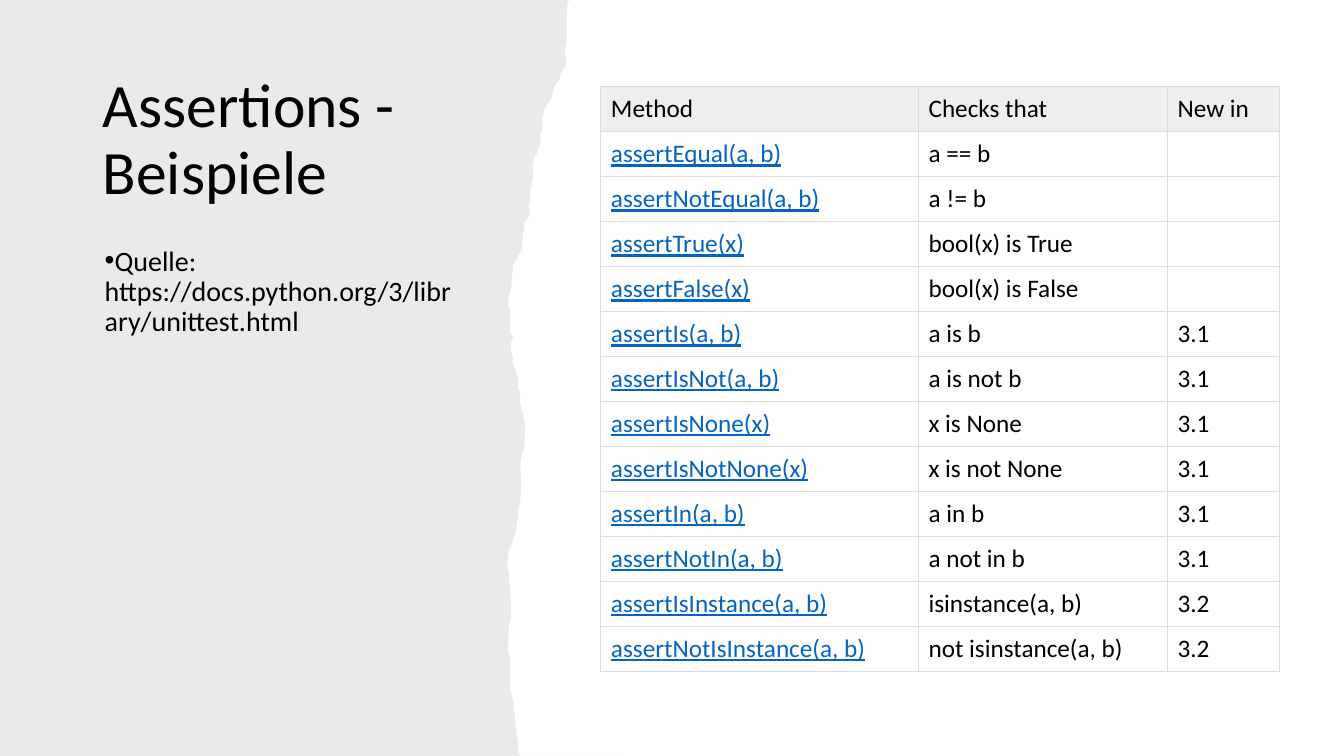
from dataclasses import dataclass

from lxml import etree
from pptx import Presentation
from pptx.dml.color import RGBColor
from pptx.enum.text import MSO_ANCHOR, MSO_AUTO_SIZE, PP_ALIGN
from pptx.oxml.ns import qn
from pptx.util import Inches, Pt

MIDDLE, TOP = MSO_ANCHOR.MIDDLE, MSO_ANCHOR.TOP
LEFT = PP_ALIGN.LEFT
NO_AUTOFIT = MSO_AUTO_SIZE.NONE
TITLE_ONLY = 5


@dataclass(frozen=True)
class Theme:
    font: str = "Calibri"
    text: str = "000000"
    link: str = "0563C1"
    white: str = "FFFFFF"
    header: str = "EEEEEE"
    border: str = "DDDDDD"
    panel: str = "82766A"
    panel_opacity: int = 15
    title_size: int = 44
    source_size: int = 20
    table_size: int = 18
    border_width: float = 0.75


THEME = Theme()
SLIDE_BOX = (0, 0, 13.33, 7.5)
PANEL_BOX = (0, 0, 6.18, 7.5)
TITLE_BOX = (0.92, 0.67, 4.09, 1.46)
SOURCE_BOX = (0.94, 2.4, 3.75, 4.27)
TABLE_BOX = (5.96, 0.86, 6.73, 5.8)

# Torn paper edge from top to bottom, relative to the panel
TORN_EDGE = [
    (5.65, 0), (5.63, 0.02), (5.62, 0.14), (5.62, 0.2), (5.62, 0.39), (5.6, 0.52),
    (5.62, 0.58), (5.61, 0.64), (5.6, 0.66), (5.55, 0.75), (5.55, 0.79), (5.52, 0.82),
    (5.49, 0.89), (5.47, 0.97), (5.41, 1.07), (5.38, 1.16), (5.38, 1.27), (5.36, 1.32),
    (5.36, 1.42), (5.33, 1.49), (5.32, 1.54), (5.3, 1.56), (5.28, 1.66), (5.29, 1.73),
    (5.28, 1.8), (5.26, 1.88), (5.26, 1.95), (5.26, 2), (5.24, 2.04), (5.26, 2.08),
    (5.25, 2.14), (5.2, 2.21), (5.19, 2.31), (5.18, 2.4), (5.18, 2.47), (5.13, 2.55),
    (5.09, 2.63), (5.08, 2.73), (5.07, 2.84), (5.05, 2.92), (5.04, 2.97), (5.04, 3.02),
    (5.06, 3.09), (5.06, 3.26), (5.06, 3.3), (5.09, 3.35), (5.07, 3.39), (5.07, 3.48),
    (5.09, 3.56), (5.08, 3.59), (5.1, 3.64), (5.13, 3.73), (5.14, 3.8), (5.14, 3.86),
    (5.16, 3.89), (5.16, 4), (5.17, 4.05), (5.19, 4.13), (5.21, 4.24), (5.2, 4.43),
    (5.17, 4.54), (5.16, 4.61), (5.17, 4.82), (5.16, 4.96), (5.14, 5.06), (5.13, 5.18),
    (5.11, 5.3), (5.09, 5.33), (5.08, 5.39), (5.04, 5.48), (5.03, 5.59), (5.05, 5.7),
    (5.05, 5.76), (5.07, 5.98), (5.07, 6.12), (5.05, 6.2), (5.04, 6.31), (5.04, 6.46),
    (5.06, 6.53), (5.06, 6.66), (5.06, 6.81), (5.09, 6.97), (5.11, 7.15), (5.12, 7.26),
    (5.13, 7.33), (5.14, 7.39), (5.14, 7.48), (5.16, 7.5),
]

TITLE = "Assertions - Beispiele"
SOURCE = "Quelle: https://docs.python.org/3/library/unittest.html"
COLUMN_WIDTHS = (3.15, 2.47, 1.11)
ASSERTIONS = [
    ("Method", "Checks that", "New in"),
    ("assertEqual(a, b)", "a == b", ""),
    ("assertNotEqual(a, b)", "a != b", ""),
    ("assertTrue(x)", "bool(x) is True", ""),
    ("assertFalse(x)", "bool(x) is False", ""),
    ("assertIs(a, b)", "a is b", "3.1"),
    ("assertIsNot(a, b)", "a is not b", "3.1"),
    ("assertIsNone(x)", "x is None", "3.1"),
    ("assertIsNotNone(x)", "x is not None", "3.1"),
    ("assertIn(a, b)", "a in b", "3.1"),
    ("assertNotIn(a, b)", "a not in b", "3.1"),
    ("assertIsInstance(a, b)", "isinstance(a, b)", "3.2"),
    ("assertNotIsInstance(a, b)", "not isinstance(a, b)", "3.2"),
]


def rgb(value):
    return RGBColor.from_string(value)


def inches(box):
    return [Inches(length) for length in box]


def format_paragraph(paragraph, size, color=THEME.text, underline=False):
    paragraph.alignment = LEFT
    for run in paragraph.runs:
        run.font.name = THEME.font
        run.font.size = Pt(size)
        run.font.color.rgb = rgb(color)
        run.font.underline = underline


def fill_frame(frame, text, size, anchor):
    frame.word_wrap = True
    frame.auto_size = NO_AUTOFIT
    frame.vertical_anchor = anchor
    frame.text = text
    paragraph = frame.paragraphs[0]
    paragraph.line_spacing = 0.9
    format_paragraph(paragraph, size)
    return paragraph


def add_torn_panel(slide, box):
    left, top, width, height = box
    outline = [(0, 0), *TORN_EDGE, (width, height), (0, height)]
    points = [(Inches(left + x), Inches(top + y)) for x, y in outline]
    builder = slide.shapes.build_freeform(*points[0])
    builder.add_line_segments(points[1:], close=True)
    panel = builder.convert_to_shape()
    panel.shadow.inherit = False
    panel.line.fill.background()
    panel.fill.solid()
    panel.fill.fore_color.rgb = rgb(THEME.panel)
    color = panel.fill._xPr.find(qn("a:solidFill"))[0]
    etree.SubElement(color, qn("a:alpha"), val=str(THEME.panel_opacity * 1000))
    # The panel lies behind the title
    slide.shapes.title._element.addprevious(panel._element)


def add_title(slide, box):
    title = slide.shapes.title
    title.left, title.top, title.width, title.height = inches(box)
    fill_frame(title.text_frame, TITLE, THEME.title_size, MIDDLE)


def add_source(slide, box):
    frame = slide.shapes.add_textbox(*inches(box)).text_frame
    paragraph = fill_frame(frame, SOURCE, THEME.source_size, TOP)
    paragraph.space_after = Pt(6)
    properties = paragraph._p.get_or_add_pPr()
    properties.set("marL", "0")
    properties.set("indent", str(-Inches(0.25)))
    etree.SubElement(properties, qn("a:buFont"), typeface="Arial")
    etree.SubElement(properties, qn("a:buChar"), char="•")


def add_cell_borders(cell):
    properties = cell._tc.get_or_add_tcPr()
    for side in ("a:lnL", "a:lnR", "a:lnT", "a:lnB"):
        line = etree.SubElement(properties, qn(side), w=str(Pt(THEME.border_width)))
        solid = etree.SubElement(line, qn("a:solidFill"))
        etree.SubElement(solid, qn("a:srgbClr"), val=THEME.border)


def add_assertion_table(slide, box):
    table = slide.shapes.add_table(len(ASSERTIONS), len(COLUMN_WIDTHS), *inches(box)).table
    table.first_row = table.horz_banding = False
    for column, width in zip(table.columns, COLUMN_WIDTHS):
        column.width = Inches(width)
    for row_index, entries in enumerate(ASSERTIONS):
        is_header = row_index == 0
        for column_index, entry in enumerate(entries):
            cell = table.cell(row_index, column_index)
            add_cell_borders(cell)
            cell.fill.solid()
            cell.fill.fore_color.rgb = rgb(THEME.header if is_header else THEME.white)
            cell.vertical_anchor = MIDDLE
            is_method = column_index == 0 and not is_header
            # Expressions stay on one line
            cell.text_frame.text = entry if is_header else entry.replace(" ", "\u00a0")
            format_paragraph(cell.text_frame.paragraphs[0], THEME.table_size,
                             THEME.link if is_method else THEME.text, is_method)


def build_assertions_slide(presentation):
    slide = presentation.slides.add_slide(presentation.slide_layouts[TITLE_ONLY])
    slide.background.fill.solid()
    slide.background.fill.fore_color.rgb = rgb(THEME.white)
    add_torn_panel(slide, PANEL_BOX)
    add_title(slide, TITLE_BOX)
    add_source(slide, SOURCE_BOX)
    add_assertion_table(slide, TABLE_BOX)


presentation = Presentation()
presentation.slide_width, presentation.slide_height = inches(SLIDE_BOX[2:])
build_assertions_slide(presentation)
presentation.save("out.pptx")
